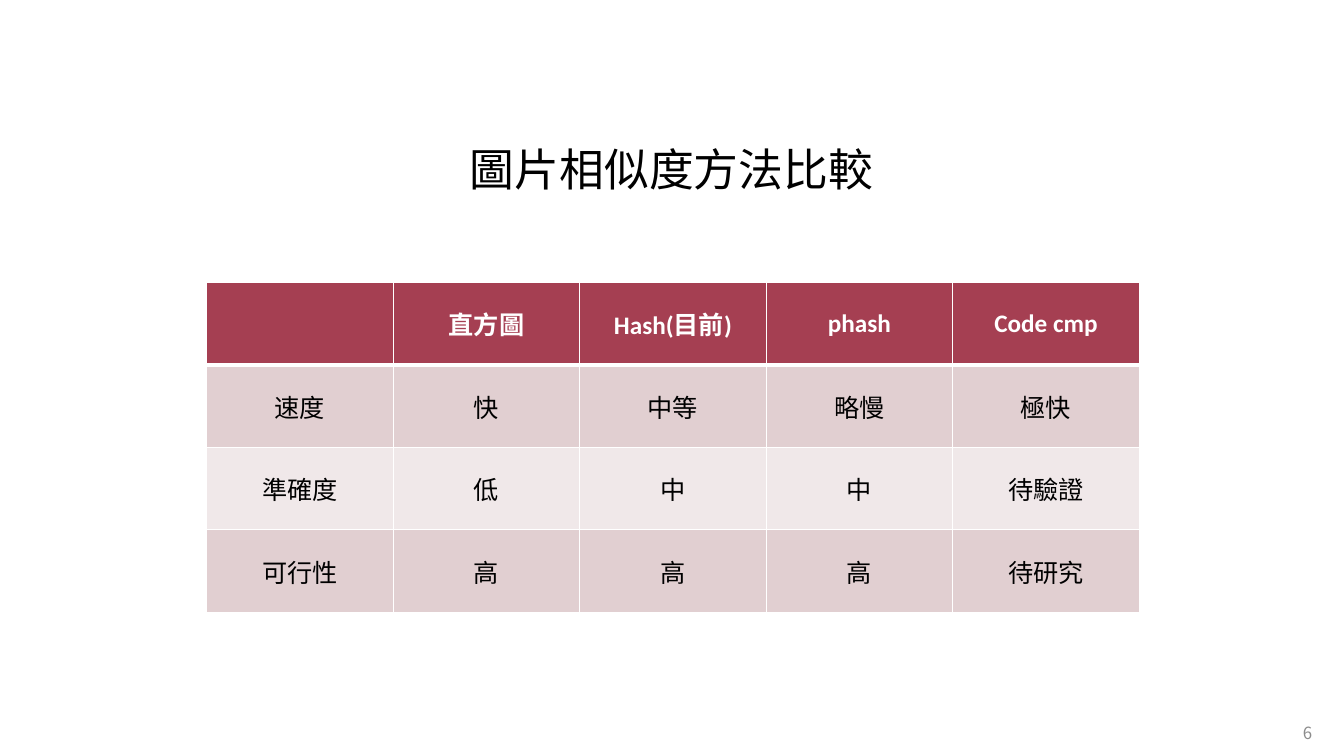
from dataclasses import dataclass

from lxml.etree import SubElement
from pptx import Presentation
from pptx.dml.color import RGBColor
from pptx.enum.text import MSO_ANCHOR, PP_ALIGN
from pptx.oxml.ns import qn
from pptx.util import Cm, Pt


@dataclass(frozen=True)
class Theme:
    """Colours, fonts and type sizes of the slide."""
    ink: str = "000000"
    white: str = "FFFFFF"
    muted: str = "8C8C8C"
    header: str = "A53F52"
    bands: tuple = ("E1CFD1", "F0E8E9")
    latin: str = "Calibri"
    cjk: str = "Noto Sans CJK TC"
    title_size: int = 32
    table_size: int = 18
    number_size: int = 12
    thin: int = 1
    thick: int = 3


def write(frame, text, *, size, color, latin, cjk, bold=False,
          align=PP_ALIGN.CENTER, line_spacing=None, space_before=None):
    """Put one formatted paragraph into a text frame."""
    paragraph = frame.paragraphs[0]
    paragraph.alignment = align
    paragraph.line_spacing = line_spacing
    paragraph.space_before = space_before
    run = paragraph.add_run()
    run.text = text
    font = run.font
    font.size, font.bold, font.name = Pt(size), bold, latin
    font.color.rgb = RGBColor.from_string(color)
    SubElement(run._r.get_or_add_rPr(), qn("a:ea"), typeface=cjk)


class ComparisonSlide:
    """Adds styled elements to one slide."""

    def __init__(self, slide, theme):
        """Keep the slide and its theme."""
        self.slide, self.theme = slide, theme

    def label(self, text, box, anchor, **style):
        """Add a text box."""
        frame = self.slide.shapes.add_textbox(*map(Cm, box)).text_frame
        frame.word_wrap = True
        frame.vertical_anchor = anchor
        write(frame, text, latin=self.theme.cjk, cjk=self.theme.cjk, **style)

    def border(self, cell, bottom):
        """Draw white cell borders with the given bottom width."""
        theme = self.theme
        properties = cell._tc.get_or_add_tcPr()
        widths = {"lnL": theme.thin, "lnR": theme.thin,
                  "lnT": theme.thin, "lnB": bottom}
        for index, (side, width) in enumerate(widths.items()):
            line = SubElement(properties, qn(f"a:{side}"), w=str(Pt(width)))
            fill = SubElement(line, qn("a:solidFill"))
            SubElement(fill, qn("a:srgbClr"), val=theme.white)
            properties.insert(index, line)

    def table(self, rows, left, top, column_width, row_height):
        """Add a table with a dark header and banded rows."""
        theme = self.theme
        columns = len(rows[0])
        grid = self.slide.shapes.add_table(
            len(rows), columns, Cm(left), Cm(top),
            Cm(column_width * columns), Cm(row_height * len(rows))).table
        for row_index, values in enumerate(rows):
            is_header = row_index == 0
            fill = theme.header if is_header else theme.bands[(row_index - 1) % 2]
            for column_index, value in enumerate(values):
                cell = grid.cell(row_index, column_index)
                cell.vertical_anchor = MSO_ANCHOR.MIDDLE
                cell.fill.solid()
                cell.fill.fore_color.rgb = RGBColor.from_string(fill)
                self.border(cell, theme.thick if is_header else theme.thin)
                if value:
                    write(cell.text_frame, value, size=theme.table_size,
                          color=theme.white if is_header else theme.ink,
                          latin=theme.latin, cjk=theme.cjk, bold=is_header)


METHODS = [
    ("", "直方圖", "Hash(目前)", "phash", "Code cmp"),
    ("速度", "快", "中等", "略慢", "極快"),
    ("準確度", "低", "中", "中", "待驗證"),
    ("可行性", "高", "高", "高", "待研究"),
]


def main():
    """Build and save the comparison slide."""
    deck = Presentation()
    deck.slide_width, deck.slide_height = Cm(33.87), Cm(19.05)
    theme = Theme()
    page = ComparisonSlide(deck.slides.add_slide(deck.slide_layouts[6]), theme)
    page.label("6", (32.08, 17.96, 1.24, 1.02), MSO_ANCHOR.MIDDLE,
               size=theme.number_size, color=theme.muted, align=PP_ALIGN.RIGHT)
    page.label("圖片相似度方法比較", (8.74, 2.77, 16.38, 2.46), MSO_ANCHOR.TOP,
               size=theme.title_size, color=theme.ink,
               line_spacing=1.5, space_before=Pt(10))
    page.table(METHODS, left=5.21, top=7.11, column_width=4.7, row_height=2.08)
    deck.save("out.pptx")


if __name__ == "__main__":
    main()
